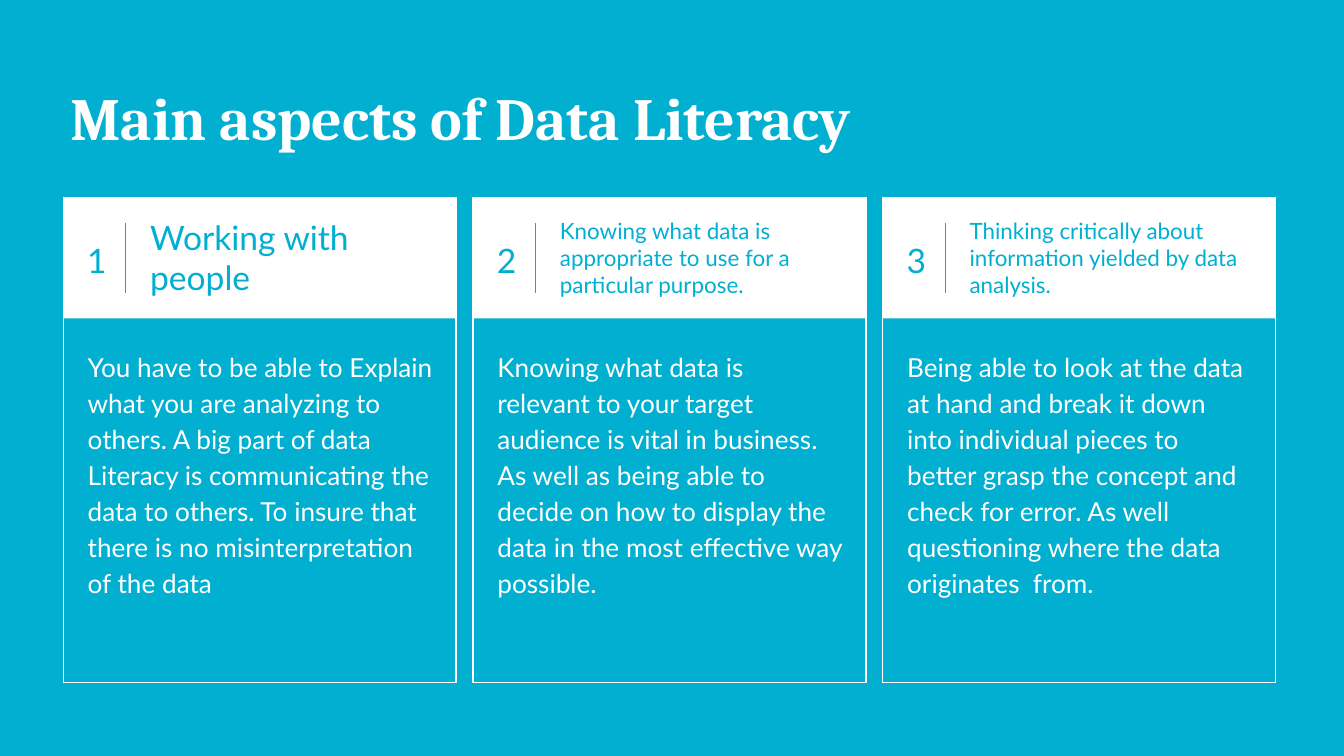
from lxml import etree
from pptx import Presentation
from pptx.dml.color import RGBColor
from pptx.enum import shapes, text
from pptx.oxml import ns
from pptx.util import Pt

COLORS = {"teal": "01AFD1", "white": "FFFFFF"}
LEFT, TOP, PITCH = 33.9, 105.8, 219.5
CARD_W, CARD_H, HEAD_H = 210.5, 260, 64.8

# Heading, heading size, body
ASPECTS = [
    ("Working with people", 18,
     "You have to be able to Explain what you are analyzing to others. "
     "A big part of data Literacy is communicating the data to others. "
     "To insure that there is no misinterpretation of the data"),
    ("Knowing what data is appropriate to use for a particular purpose.", 12,
     "Knowing what data is relevant to your target audience is vital in business. "
     "As well as being able to decide on how to display the data "
     "in the most effective way possible."),
    ("Thinking critically about information yielded by data analysis.", 12,
     "Being able to look at the data at hand and break it down into individual "
     "pieces to better grasp the concept and check for error. "
     "As well questioning where the data originates  from."),
]


def rgb(name):
    return RGBColor.from_string(COLORS[name])


def add_text(s, content, x, y, w, h, size=14, font="Lato", color="white",
             bold=False, align=text.PP_ALIGN.LEFT,
             anchor=text.MSO_ANCHOR.TOP, spacing=1.0):
    tf = s.shapes.add_textbox(Pt(x), Pt(y), Pt(w), Pt(h)).text_frame
    tf.word_wrap = True
    tf.vertical_anchor = anchor
    tf.margin_left = tf.margin_right = tf.margin_top = tf.margin_bottom = Pt(7.2)
    p = tf.paragraphs[0]
    p.alignment = align
    p.line_spacing = spacing
    r = p.add_run()
    r.text = content
    r.font.name = font
    r.font.size = Pt(size)
    r.font.bold = bold
    r.font.color.rgb = rgb(color)


def add_rect(s, x, y, w, h, fill=None, line=None):
    sp = s.shapes.add_shape(shapes.MSO_SHAPE.RECTANGLE, Pt(x), Pt(y), Pt(w), Pt(h))
    sp.shadow.inherit = False
    if fill:
        sp.fill.solid()
        sp.fill.fore_color.rgb = rgb(fill)
    else:
        sp.fill.background()
    if line:
        sp.line.color.rgb = rgb(line)
        sp.line.width = Pt(0.75)
    else:
        sp.line.fill.background()


def add_divider(s, x, y1, y2):
    line = s.shapes.add_connector(shapes.MSO_CONNECTOR.STRAIGHT,
                                  Pt(x), Pt(y1), Pt(x), Pt(y2))
    line.line.color.rgb = rgb("teal")
    line.line.width = Pt(0.75)
    etree.SubElement(line._element.spPr, ns.qn("a:effectLst"))


def add_card(s, number, heading, size, body):
    x = LEFT + (number - 1) * PITCH
    middle = text.MSO_ANCHOR.MIDDLE

    # Frame and header band
    add_rect(s, x, TOP, CARD_W, CARD_H, line="white")
    add_rect(s, x, TOP, CARD_W, HEAD_H, fill="white")

    # Number, divider and heading
    add_text(s, str(number), x + 4.3, TOP - 0.5, 27.4, HEAD_H, size=18, color="teal",
             align=text.PP_ALIGN.CENTER, anchor=middle, spacing=1.15)
    add_divider(s, x + 33.5, TOP + 13.7, TOP + 51.2)
    add_text(s, heading, x + 39.5, TOP - 0.3, 165.6, HEAD_H, size=size,
             color="teal", anchor=middle)

    # Explanation
    add_text(s, body, x + 6, TOP + 72.8, 199.4, 187.2, spacing=1.15)


def main():
    prs = Presentation()
    prs.slide_width, prs.slide_height = Pt(720), Pt(405)
    s = prs.slides.add_slide(prs.slide_layouts[6])
    s.background.fill.solid()
    s.background.fill.fore_color.rgb = rgb("teal")

    # Title
    add_text(s, "Main aspects of Data Literacy", 30.6, 36, 658.8, 54,
             size=32, font="Cambria", bold=True)

    # One card for each aspect
    for number, aspect in enumerate(ASPECTS, 1):
        add_card(s, number, *aspect)

    prs.save("out.pptx")


if __name__ == "__main__":
    main()
